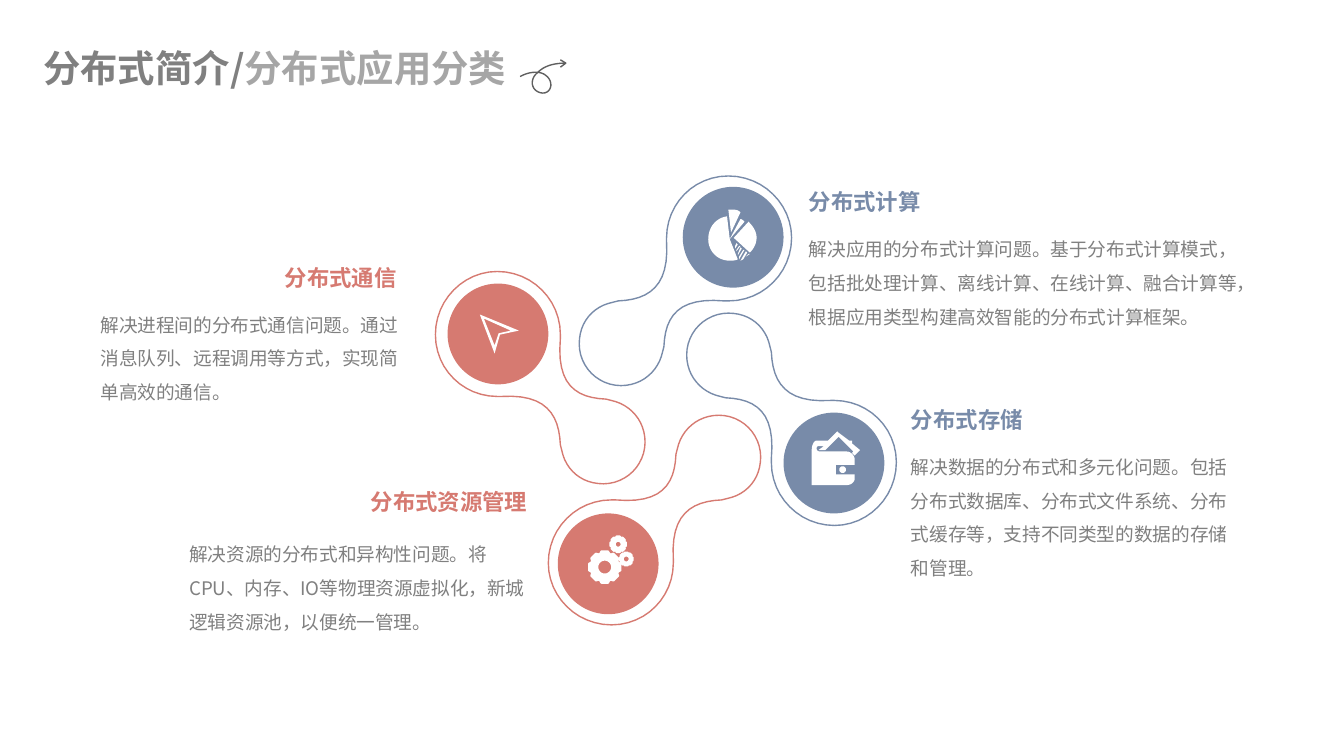
import math

import lxml.etree
import pptx
import pptx.dml.color
import pptx.enum.shapes
import pptx.enum.text
import pptx.oxml.ns
import pptx.util

COLUMNS, ROWS = 1000, 562.5
UNIT = pptx.util.Inches(10) / COLUMNS
FONT = "Noto Sans CJK SC"
RED, BLUE, GREY, PALE, INK, WHITE = "D67A71", "788BA9", "808080", "A6A6A6", "5F5F5F", "FFFFFF"
TITLE_STYLE = {"size": pptx.util.Pt(20), "bold": True}
HEADING_STYLE = {"size": pptx.util.Pt(12), "bold": True}
BODY_STYLE = {"size": pptx.util.Pt(10), "bold": False}

DROPLET_SIZE = (158, 157)
DROPLET = [
    (111, 0), (137, 0, 158, 21, 158, 46), (158, 72, 137, 93, 111, 93), (108, 93),
    (74, 90, 64, 104, 63, 127), (62, 131), (59, 145, 47, 156, 31, 156),
    (14, 156, 0, 142, 0, 125), (0, 109, 10, 97, 25, 94), (29, 93),
    (52, 92, 67, 82, 65, 49), (65, 46), (65, 21, 85, 0, 111, 0)]
PIE = [
    [(49, 26), (52, 29, 55, 33, 55, 38), (55, 42, 53, 46, 50, 49), (38, 38)],
    [(43, 24), (35, 39), (33, 22), (25, 23, 19, 30, 19, 39), (19, 48, 26, 55, 35, 55),
     (37, 55, 39, 55, 41, 54), (35, 39), (46, 26), (45, 25, 44, 24, 43, 24)],
    [(36, 17), (34, 17), (36, 34), (43, 19), (41, 17, 39, 17, 36, 17)],
    [(50, 50), (47, 52), (49, 50)],
    [(45, 54), (48, 49), (47, 48), (43, 55)],
    [(42, 54), (46, 47), (45, 47), (42, 52)],
    [(41, 51), (44, 46), (43, 45), (41, 50)],
    [(40, 48), (43, 44), (42, 44), (40, 47)],
    [(39, 46), (41, 43), (40, 42), (39, 44)]]
CURSOR = [[(35, 52), (24, 23), (53, 35), (39, 38)], [(27, 26), (35, 46), (38, 37), (47, 35)]]
WALLET = [
    (27, 29), (47, 29), (50, 29, 53, 32, 53, 35), (53, 39), (39, 39), (39, 46), (53, 46),
    (53, 49), (53, 52, 50, 54, 47, 54), (21, 54), (21, 28), (21, 25, 22, 22, 24, 21),
    (33, 21), (39, 15), (40, 14), (41, 15), (49, 21), (51, 21), (51, 23), (57, 28),
    (53, 32), (51, 30), (52, 29), (41, 18), (31, 28), (26, 28), (30, 25), (26, 25),
    (24, 25, 24, 29, 27, 29)]
SWIRL = [
    [(0, 13), (5, 10, 14, 8, 19, 12), (26, 17, 23, 27, 15, 25), (8, 23, 7, 15, 13, 10),
     (18, 5, 25, 3, 34, 3)],
    [(30, 0.5), (34, 3), (30, 6)]]


def paint(hex_colour):
    """Return the colour of a hex string."""
    return pptx.dml.color.RGBColor.from_string(hex_colour)


def apply(target, values):
    """Set every attribute named in a dict of format values."""
    for name, value in values.items():
        setattr(target, name, value)


def flatten(steps):
    """Turn points and cubic curves into a list of points."""
    points = [steps[0]]
    for step in steps[1:]:
        if len(step) == 2:
            points.append(step)
            continue
        knots = [points[-1], step[:2], step[2:4], step[4:]]
        for share in (i / 12 for i in range(1, 13)):
            weights = [math.comb(3, k) * share ** k * (1 - share) ** (3 - k) for k in range(4)]
            points.append(tuple(sum(w * knot[axis] for w, knot in zip(weights, knots))
                                for axis in (0, 1)))
    return points


def rotate(points, size, quarters):
    """Turn points counter-clockwise by quarters within a box of the given size."""
    width, height = size
    for _ in range(quarters):
        points = [(y, width - x) for x, y in points]
        width, height = height, width
    return points


def ring(cx, cy, radius):
    """Return the points of a circle."""
    angles = [math.radians(15 * i) for i in range(24)]
    return [(cx + radius * math.cos(a), cy + radius * math.sin(a)) for a in angles]


def gear(cx, cy, radius, hole):
    """Return the contours of a gear with eight teeth."""
    teeth = [(cx + radius * reach * math.cos(math.radians(45 * tooth + turn)),
              cy + radius * reach * math.sin(math.radians(45 * tooth + turn)))
             for tooth in range(8)
             for turn, reach in ((-19, 0.88), (-12, 1), (12, 1), (19, 0.88))]
    return [teeth, ring(cx, cy, hole)]


ICONS = {
    "pie": [PIE],
    "cursor": [CURSOR],
    "wallet": [[WALLET, ring(44, 42.5, 2.5)]],
    "gears": [gear(35, 40, 12, 5.5), gear(45, 23, 6, 2.5), gear(51, 34, 5, 2.5)]}


def dress(shape, fill=None, line=None, weight=0.75):
    """Give a shape its fill and line, without shadow."""
    shape.shadow.inherit = False
    for part, colour in ((shape.fill, fill), (shape.line.fill, line)):
        if colour:
            part.solid()
            part.fore_color.rgb = paint(colour)
        else:
            part.background()
    if line:
        shape.line.width = pptx.util.Pt(weight)


def outline(slide, left, top, contours, closed=True, **look):
    """Draw contours as one freeform from a corner of the grid."""
    placed = [[((left + x) * UNIT, (top + y) * UNIT) for x, y in flatten(steps)]
              for steps in contours]
    builder = slide.shapes.build_freeform(*placed[0][0], scale=1.0)
    for index, points in enumerate(placed):
        if index:
            builder.move_to(*points[0])
        builder.add_line_segments(points[1:], close=closed)
    dress(builder.convert_to_shape(), **look)


def write(slide, box, runs, style, frame_values, spacing=None, before=None):
    """Place a text box whose runs share one style."""
    frame = slide.shapes.add_textbox(*(round(side * UNIT) for side in box)).text_frame
    apply(frame, frame_values)
    paragraph = frame.paragraphs[0]
    if spacing:
        paragraph.line_spacing = spacing
    if before:
        gap = lxml.etree.SubElement(paragraph._p.get_or_add_pPr(), pptx.oxml.ns.qn("a:spcBef"))
        lxml.etree.SubElement(gap, pptx.oxml.ns.qn("a:spcPct"), val=str(before * 1000))
    for words, colour in runs:
        run = paragraph.add_run()
        run.text = words
        apply(run.font, {**style, "name": FONT})
        run.font.color.rgb = paint(colour)
        lxml.etree.SubElement(run._r.get_or_add_rPr(), pptx.oxml.ns.qn("a:ea"), typeface=FONT)


def add_title(slide, left, top, width, height):
    """Place the two-tone title with the swirling arrow at its end."""
    values = {"word_wrap": False, "vertical_anchor": pptx.enum.text.MSO_ANCHOR.MIDDLE}
    values.update({f"margin_{side}": 0 for side in ("left", "top", "right", "bottom")})
    write(slide, (left, top, width, height),
          [("分布式简介/", GREY), ("分布式应用分类", PALE)], TITLE_STYLE, values, 1.3)
    outline(slide, left + width - 43, top + 33, SWIRL, closed=False, line=INK)


def add_topic(slide, left, top, colour, quarters, disk, icon, heading, heading_box, body,
              body_box):
    """Place a droplet with its disk and icon, and the texts beside it."""
    droplet = rotate(flatten(DROPLET), DROPLET_SIZE, quarters)
    outline(slide, left, top, [droplet], line=colour)
    disk_left, disk_top = left + disk[0], top + disk[1]
    dress(slide.shapes.add_shape(
        pptx.enum.shapes.MSO_SHAPE.OVAL,
        *(round(side * UNIT) for side in (disk_left, disk_top, 75, 75))), fill=colour)
    rim = WHITE if icon == "gears" else None
    for contours in ICONS[icon]:
        outline(slide, disk_left, disk_top, contours, fill=WHITE, line=rim, weight=1)
    grow = {"auto_size": pptx.enum.text.MSO_AUTO_SIZE.SHAPE_TO_FIT_TEXT}
    write(slide, body_box, [(body, GREY)], BODY_STYLE, {**grow, "word_wrap": True}, 1.5, 20)
    write(slide, heading_box, [(heading, colour)], HEADING_STYLE, {**grow, "word_wrap": False})


TOPICS = [
    (431, 131, BLUE, 0, (77, 8), "pie",
     "分布式计算", (592, 135, 104, 30),
     "解决应用的分布式计算问题。基于分布式计算模式，包括批处理计算、离线计算、在线计算、融合计算等，"
     "根据应用类型构建高效智能的分布式计算框架。", (592, 164, 342, 83)),
    (324, 202, RED, 1, (9, 9), "cursor",
     "分布式通信", (202, 192, 104, 30),
     "解决进程间的分布式通信问题。通过消息队列、远程调用等方式，实现简单高效的通信。",
     (65, 220, 246, 83)),
    (408, 308, RED, 2, (7, 74), "gears",
     "分布式资源管理", (266, 358, 138, 30),
     "解决资源的分布式和异构性问题。将CPU、内存、IO等物理资源虚拟化，新城逻辑资源池，以便统一管理。",
     (131, 391, 277, 83)),
    (510, 233, BLUE, 3, (73, 74), "wallet",
     "分布式存储", (668, 297, 104, 30),
     "解决数据的分布式和多元化问题。包括分布式数据库、分布式文件系统、分布式缓存等，"
     "支持不同类型的数据的存储和管理。", (668, 326, 267, 108))]


def main():
    """Build the slide and save it."""
    deck = pptx.Presentation()
    apply(deck, {"slide_width": round(COLUMNS * UNIT), "slide_height": round(ROWS * UNIT)})
    slide = deck.slides.add_slide(deck.slide_layouts[6])
    add_title(slide, 32, 11, 398, 69)
    for topic in TOPICS:
        add_topic(slide, *topic)
    deck.save("out.pptx")


if __name__ == "__main__":
    main()
